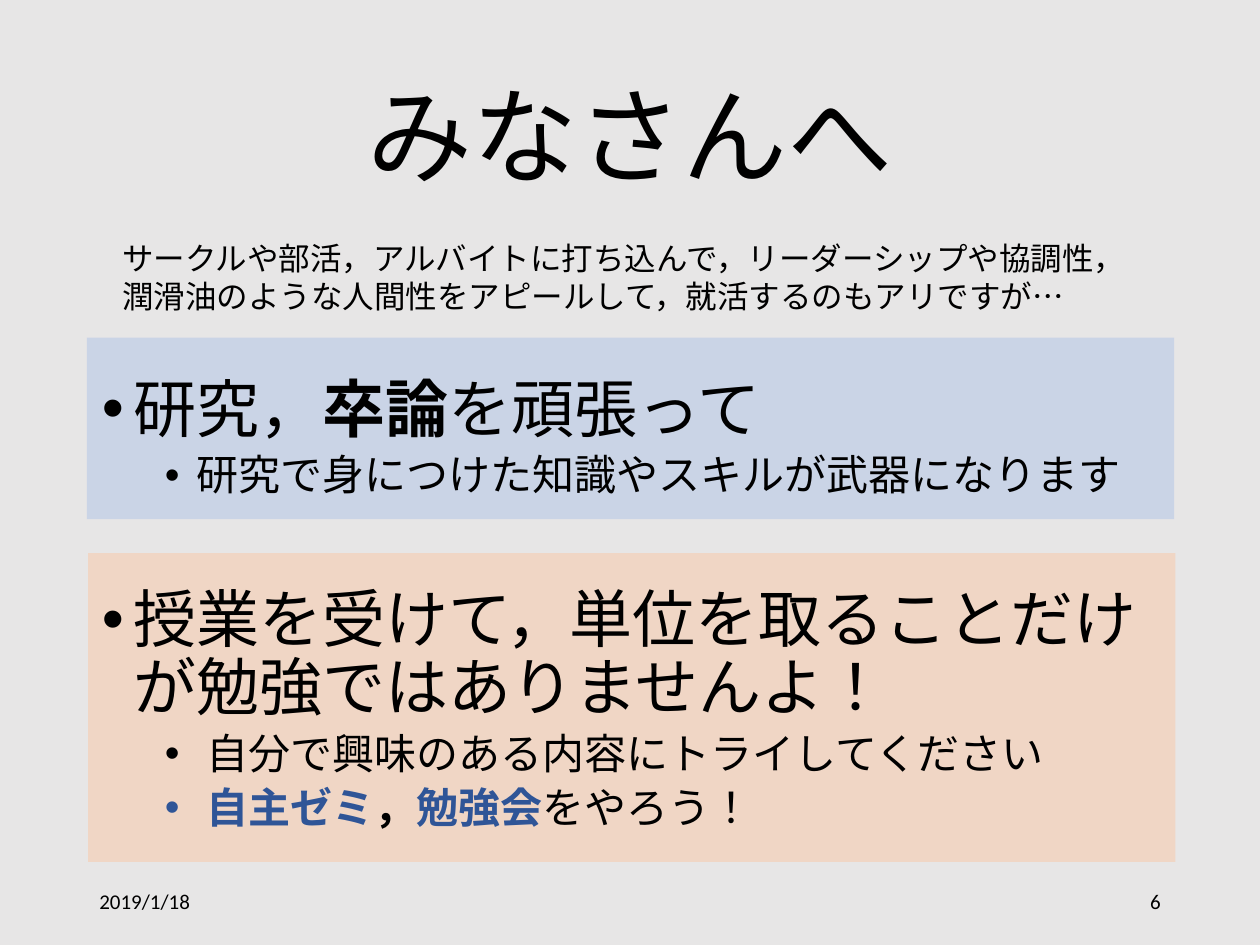
from lxml import etree
from pptx import Presentation
from pptx.dml.color import RGBColor
from pptx.enum.lang import MSO_LANGUAGE_ID
from pptx.enum.shapes import MSO_SHAPE
from pptx.enum.text import MSO_ANCHOR, PP_ALIGN
from pptx.oxml.ns import qn
from pptx.util import Inches, Pt

JAPANESE = MSO_LANGUAGE_ID.JAPANESE
RECTANGLE = MSO_SHAPE.RECTANGLE
TOP, MIDDLE = MSO_ANCHOR.TOP, MSO_ANCHOR.MIDDLE
LEFT, CENTER, RIGHT = PP_ALIGN.LEFT, PP_ALIGN.CENTER, PP_ALIGN.RIGHT

FONT = "Calibri"
BLACK = RGBColor(0x00, 0x00, 0x00)
ACCENT = RGBColor(0x2F, 0x55, 0x97)
BACKGROUND = RGBColor(0xE7, 0xE6, 0xE6)
PALE_BLUE = RGBColor(0xB4, 0xC7, 0xE7)
PALE_ORANGE = RGBColor(0xF8, 0xCB, 0xAD)
PANEL_OPACITY = 57

TITLE = "みなさんへ"
INTRO = (
    "サークルや部活，アルバイトに打ち込んで，リーダーシップや協調性，"
    "潤滑油のような人間性をアピールして，就活するのもアリですが…"
)
DATE = "2019/1/18"
PAGE = "6"

PLAIN = (False, BLACK)
BOLD = (True, BLACK)
BOLD_ACCENT = (True, ACCENT)

PANELS = [
    {
        "box": (0.69, 2.68, 8.63, 1.44),
        "color": PALE_BLUE,
        "text_box": (0.71, 2.95, 8.62, 1.17),
        "sub_indent": 0.75,
        "bullets": [
            (0, [("研究，", PLAIN), ("卒論", BOLD), ("を頑張って", PLAIN)]),
            (1, [("研究で身につけた知識やスキルが武器になります", PLAIN)]),
        ],
    },
    {
        "box": (0.7, 4.39, 8.63, 2.45),
        "color": PALE_ORANGE,
        "text_box": (0.71, 4.62, 8.62, 2.22),
        "sub_indent": 0.83,
        "bullets": [
            (0, [("授業を受けて，単位を取ることだけが勉強ではありませんよ！", PLAIN)]),
            (1, [("自分で興味のある内容にトライしてください", PLAIN)]),
            (1, [("自主ゼミ", BOLD_ACCENT), ("，", BOLD),
                 ("勉強会", BOLD_ACCENT), ("をやろう！", PLAIN)]),
        ],
    },
]
BULLET_AT = (0, 0.5)
BULLET_SIZE = (36, 24)
BULLET_SPACE = (10, 5)


def style_run(run, size, bold=False, color=BLACK):
    run.font.name = FONT
    run.font.size = Pt(size)
    run.font.bold = bold
    run.font.color.rgb = color
    run.font.language_id = JAPANESE


def add_text_box(slide, box, anchor=TOP):
    frame = slide.shapes.add_textbox(*map(Inches, box)).text_frame
    frame.word_wrap = True
    frame.vertical_anchor = anchor
    return frame


def add_label(slide, text, box, size, align=LEFT, anchor=TOP):
    paragraph = add_text_box(slide, box, anchor).paragraphs[0]
    paragraph.text = text
    paragraph.alignment = align
    style_run(paragraph.runs[0], size)


def add_bullet(paragraph, start, text_indent):
    properties = paragraph._p.get_or_add_pPr()
    properties.set("marL", str(Inches(text_indent)))
    properties.set("indent", str(Inches(start - text_indent)))
    etree.SubElement(properties, qn("a:buFont")).set("typeface", "Arial")
    etree.SubElement(properties, qn("a:buChar")).set("char", "•")


def add_panel(slide, panel):
    rectangle = slide.shapes.add_shape(RECTANGLE, *map(Inches, panel["box"]))
    rectangle.shadow.inherit = False
    rectangle.line.fill.background()
    rectangle.fill.solid()
    rectangle.fill.fore_color.rgb = panel["color"]
    color = rectangle._element.spPr.find(qn("a:solidFill"))[0]
    etree.SubElement(color, qn("a:alpha")).set("val", str(PANEL_OPACITY * 1000))

    frame = add_text_box(slide, panel["text_box"])
    text_indents = (0.25, panel["sub_indent"])
    for index, (level, runs) in enumerate(panel["bullets"]):
        paragraph = frame.add_paragraph() if index else frame.paragraphs[0]
        add_bullet(paragraph, BULLET_AT[level], text_indents[level])
        paragraph.level = level
        paragraph.line_spacing = 0.9
        paragraph.space_before = Pt(BULLET_SPACE[level] if index else 0)
        for text, (bold, run_color) in runs:
            run = paragraph.add_run()
            run.text = text
            style_run(run, BULLET_SIZE[level], bold, run_color)


def add_title(slide):
    title = slide.shapes.title
    title.left, title.top, title.width, title.height = map(
        Inches, (0.69, 0.4, 8.62, 1.45))
    title.text_frame.text = TITLE
    title.text_frame.vertical_anchor = MIDDLE
    paragraph = title.text_frame.paragraphs[0]
    paragraph.alignment = CENTER
    paragraph.line_spacing = 0.9
    style_run(paragraph.runs[0], 60)


def main():
    deck = Presentation()
    deck.slide_width, deck.slide_height = Inches(10), Inches(7.5)
    slide = deck.slides.add_slide(deck.slide_layouts[5])
    slide.background.fill.solid()
    slide.background.fill.fore_color.rgb = BACKGROUND

    add_title(slide)
    add_label(slide, INTRO, (0.87, 1.85, 7.98, 0.71), 18)
    for panel in PANELS:
        add_panel(slide, panel)
    add_label(slide, DATE, (0.69, 6.95, 2.25, 0.4), 12, anchor=MIDDLE)
    add_label(slide, PAGE, (7.06, 6.95, 2.25, 0.4), 12, RIGHT, MIDDLE)
    deck.save("out.pptx")


if __name__ == "__main__":
    main()
